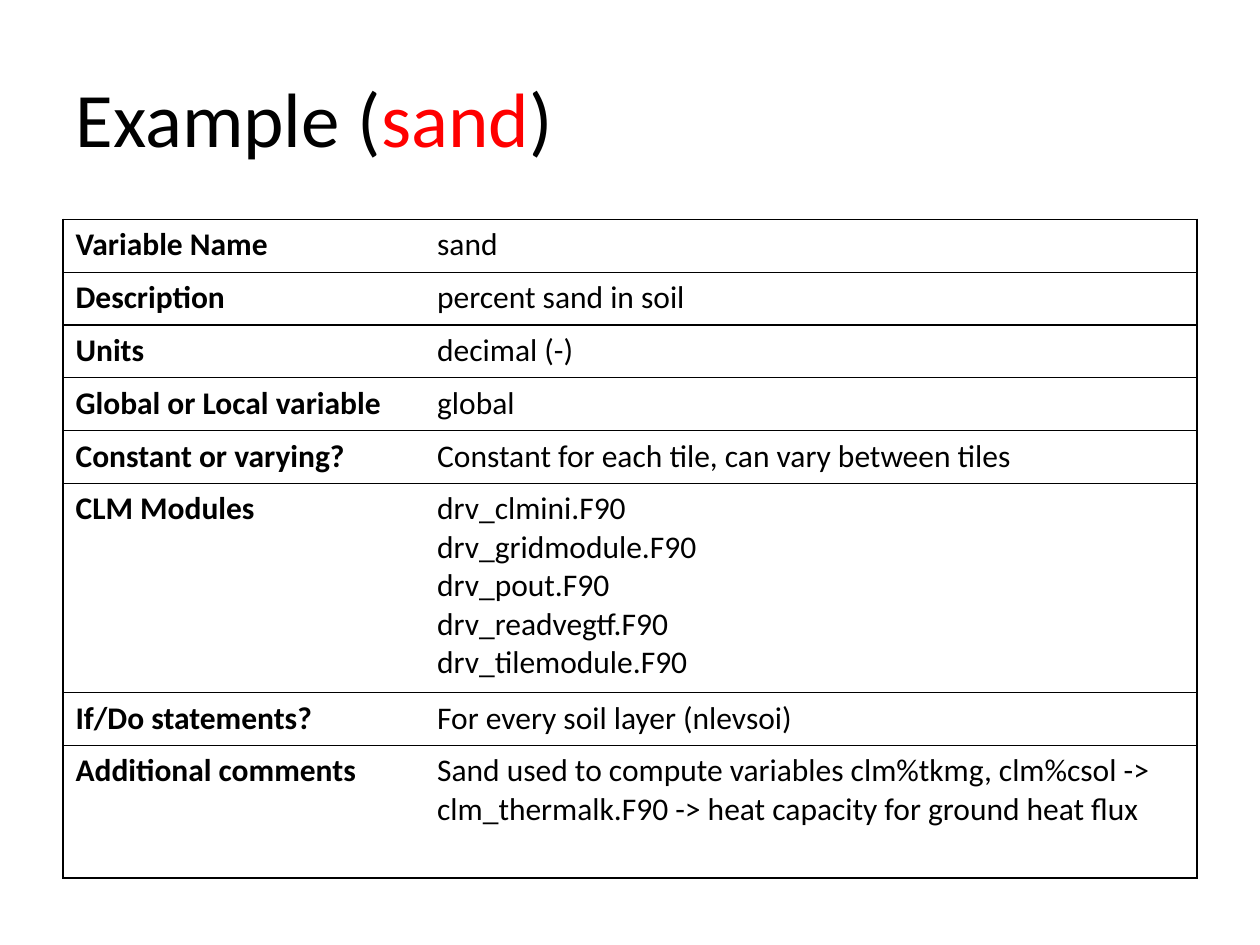
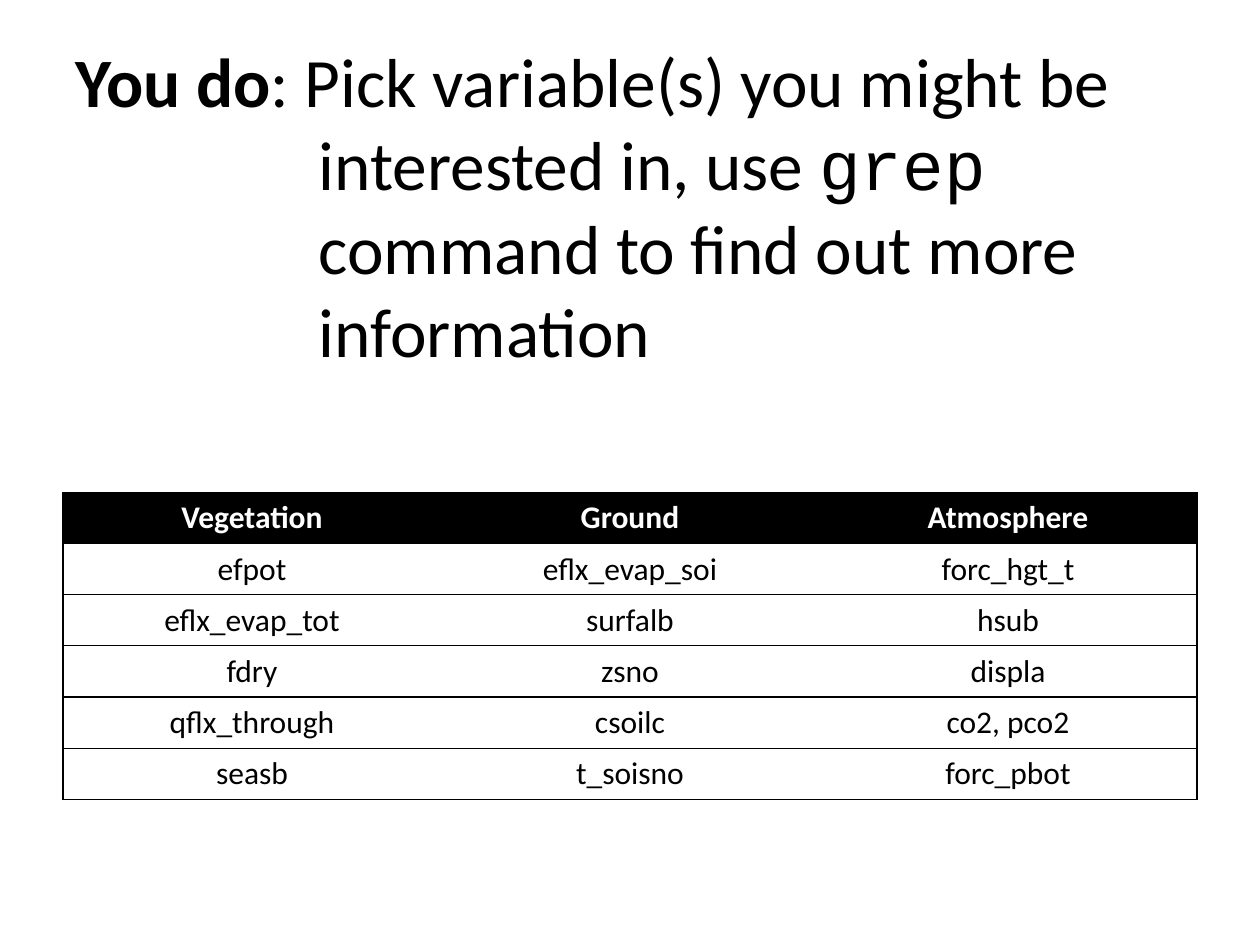
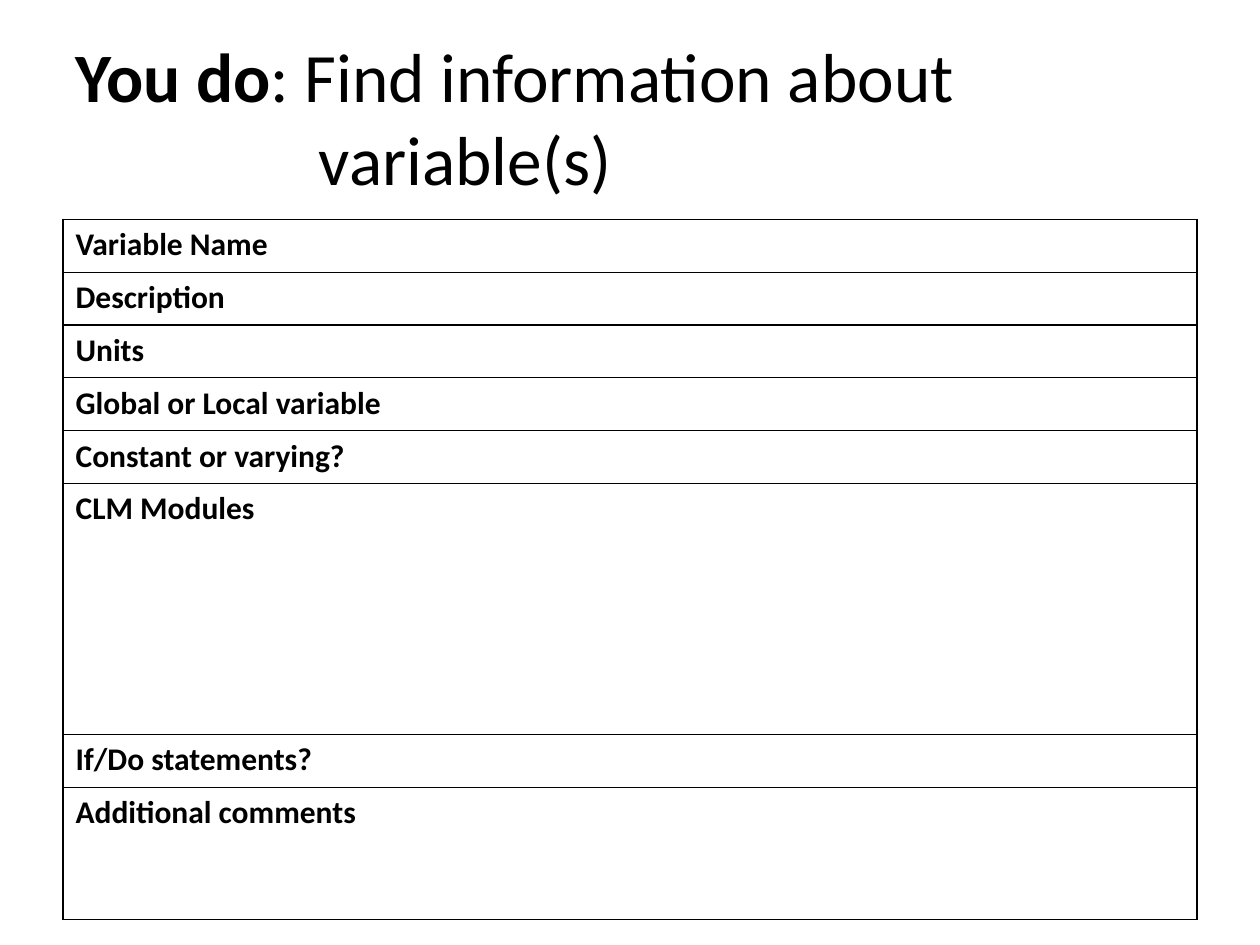
"""Build three slides about looking up model variables."""
from lxml.etree import SubElement
from pptx import Presentation
from pptx.dml.color import RGBColor
from pptx.enum.text import MSO_ANCHOR, MSO_AUTO_SIZE, PP_ALIGN
from pptx.oxml.ns import qn
from pptx.util import Inches, Pt

BLACK = RGBColor(0x00, 0x00, 0x00)
WHITE = RGBColor(0xFF, 0xFF, 0xFF)
RED = RGBColor(0xFF, 0x00, 0x00)

FIELDS = ["Variable Name", "Description", "Units", "Global or Local variable",
          "Constant or varying?", "CLM Modules", "If/Do statements?",
          "Additional comments"]
SAND = ["sand", "percent sand in soil", "decimal (-)", "global",
        "Constant for each tile, can vary between tiles",
        "drv_clmini.F90\ndrv_gridmodule.F90\ndrv_pout.F90\n"
        "drv_readvegtf.F90\ndrv_tilemodule.F90",
        "For every soil layer (nlevsoi)",
        "Sand used to compute variables clm%tkmg, clm%csol -> "
        "clm_thermalk.F90 -> heat capacity for ground heat flux"]
VARIABLES = [["Vegetation", "Ground", "Atmosphere"],
             ["efpot", "eflx_evap_soi", "forc_hgt_t"],
             ["eflx_evap_tot", "surfalb", "hsub"],
             ["fdry", "zsno", "displa"],
             ["qflx_through", "csoilc", "co2, pco2"],
             ["seasb", "t_soisno", "forc_pbot"]]


class Deck:
    """Hold the style, the 20 by 15 grid and the current slide."""

    font = "Calibri"
    left, span = 1, 18
    field_cols = (5.74, 12.26)

    def __init__(self):
        """Start an empty presentation."""
        self.prs = Presentation()
        self.prs.slide_width, self.prs.slide_height = Inches(10), Inches(7.5)
        self.s = None

    def x(self, cols):
        """Turn grid columns into a length."""
        return round(self.prs.slide_width * cols / 20)

    def y(self, rows):
        """Turn grid rows into a length."""
        return round(self.prs.slide_height * rows / 15)

    def run(self, p, text, size, color=BLACK, bold=False, font=font):
        """Add one formatted run to a paragraph."""
        r = p.add_run()
        r.text = text
        r.font.size, r.font.name, r.font.bold = Pt(size), font, bold
        r.font.color.rgb = color

    def title(self, runs, size=39.6, hang=3.86, height=2.5):
        """Start a slide whose title has a hanging indent."""
        self.s = self.prs.slides.add_slide(self.prs.slide_layouts[5])
        sp = self.s.shapes.title
        sp.left, sp.top = self.x(self.left), self.y(0.6)
        sp.width, sp.height = self.x(self.span), self.y(height)
        tf = sp.text_frame
        tf.word_wrap, tf.auto_size = True, MSO_AUTO_SIZE.NONE
        tf.vertical_anchor = MSO_ANCHOR.MIDDLE
        p = tf.paragraphs[0]
        p.alignment = PP_ALIGN.LEFT
        pPr = p._p.get_or_add_pPr()
        pPr.set("marL", str(self.x(hang)))
        pPr.set("indent", str(-self.x(hang)))
        for text, style in runs:
            self.run(p, text, size, **style)

    def borders(self, cell, first, last):
        """Rule a cell above and below, and at the sides of the table."""
        tcPr = cell._tc.get_or_add_tcPr()
        for side, shown in (("L", first), ("R", last), ("T", True), ("B", True)):
            ln = SubElement(tcPr, qn(f"a:ln{side}"), w=str(Pt(0.75)))
            if shown:
                fill = SubElement(ln, qn("a:solidFill"))
                SubElement(fill, qn("a:srgbClr"), val=str(BLACK))
            else:
                SubElement(ln, qn("a:noFill"))

    def table(self, rows, top, cols, heights, header=False):
        """Add a ruled table with either a header row or a label column."""
        table = self.s.shapes.add_table(
            len(rows), len(cols), self.x(self.left), self.y(top),
            self.x(sum(cols)), self.y(sum(heights))).table
        table.first_row = table.horz_banding = False
        for column, width in zip(table.columns, cols):
            column.width = self.x(width)
        for i, (texts, height) in enumerate(zip(rows, heights)):
            table.rows[i].height = self.y(height)
            for j, text in enumerate(texts):
                cell = table.cell(i, j)
                dark = header and i == 0
                self.borders(cell, j == 0, j == len(cols) - 1)
                cell.fill.solid()
                cell.fill.fore_color.rgb = BLACK if dark else WHITE
                tf = cell.text_frame
                for n, line in enumerate(text.split("\n") if text else []):
                    p = tf.add_paragraph() if n else tf.paragraphs[0]
                    p.alignment = PP_ALIGN.CENTER if header else PP_ALIGN.LEFT
                    self.run(p, line, 18, WHITE if dark else BLACK,
                             dark or (not header and j == 0))

    def field_table(self, values, modules_height):
        """Add the table of variable fields with their values."""
        heights = [0.84] * 5 + [modules_height, 0.84, 2.1]
        self.table(list(zip(FIELDS, values)), 3.48, self.field_cols, heights)


def main():
    """Build the slides and save them."""
    deck = Deck()
    you_do = ("You do", {"bold": True})

    deck.title([("Example (", {}), ("sand", {"color": RED}), (")", {})],
               size=44, hang=4.24)
    deck.field_table(SAND, 3.32)

    deck.title([you_do,
                (": Pick variable(s) you might be interested in, use ", {}),
                ("grep", {"font": "Courier New"}),
                (" command to find out more information", {})], height=5.3)
    deck.table(VARIABLES, 7.82, [6] * 3, [0.81] * len(VARIABLES), header=True)

    deck.title([you_do, (": Find information about variable(s)", {})])
    deck.field_table([""] * len(FIELDS), 3.98)

    deck.prs.save("out.pptx")


if __name__ == "__main__":
    main()
